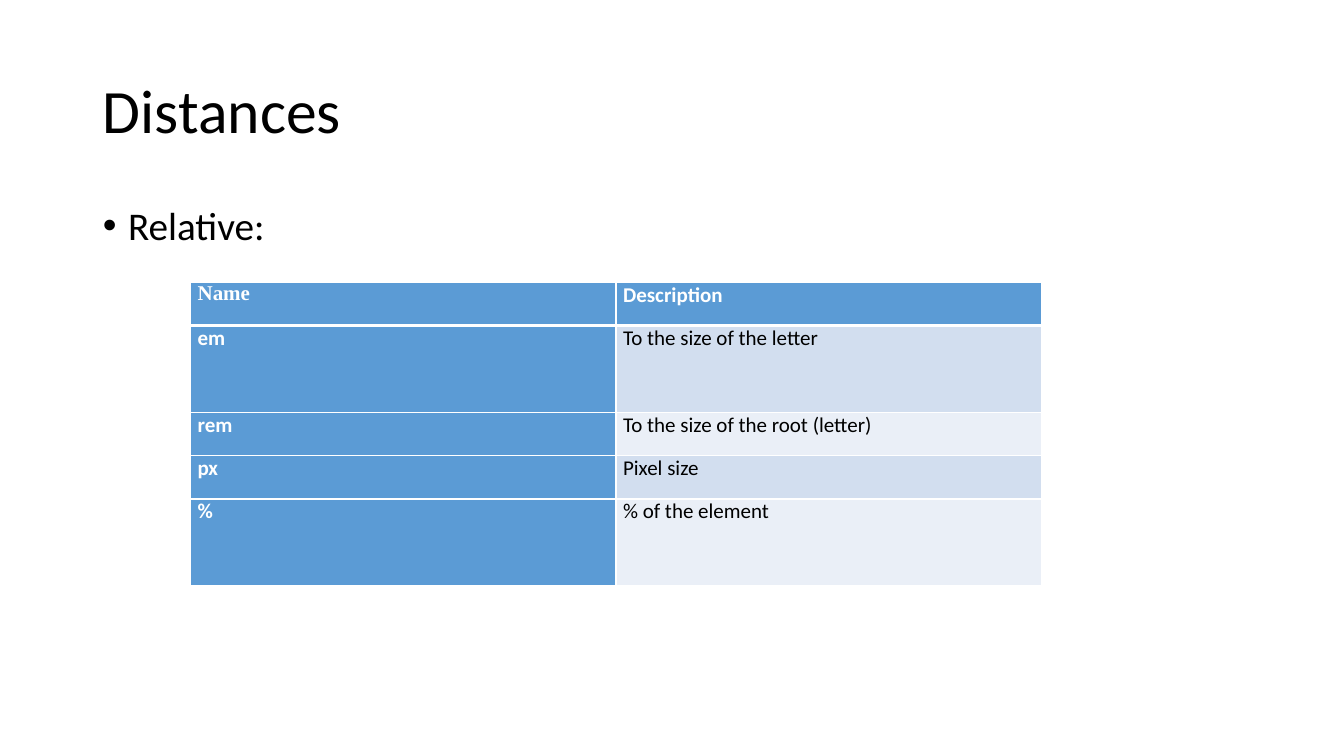
from lxml import etree
from pptx import Presentation
from pptx import util as u
from pptx.dml.color import RGBColor
from pptx.enum import text
from pptx.oxml import ns

PX = 9144
FONT = "Calibri"
HUES = {"black": "000000", "white": "FFFFFF", "blue": "5B9BD5",
        "dark": "D2DEEF", "light": "EAEFF7"}
ROWS = [
    ("Name", "Description", 43),
    ("em", "To the size of the letter", 86),
    ("rem", "To the size of the root (letter)", 43),
    ("px", "Pixel size", 43),
    ("%", "% of the element", 86),
]


def px(num):
    return u.Emu(num * PX)


def hue(name):
    return RGBColor.from_string(HUES[name])


def style(para, size, color, bold=False, face=FONT):
    font = para.font
    font.name, font.size, font.bold = face, u.Pt(size), bold
    font.color.rgb = hue(color)


def fill_holder(holder, words, box, size, anchor):
    holder.left, holder.top, holder.width, holder.height = map(px, box)
    frame = holder.text_frame
    frame.text = words
    frame.vertical_anchor = anchor
    frame.auto_size = text.MSO_AUTO_SIZE.NONE
    para = frame.paragraphs[0]
    para.alignment = text.PP_ALIGN.LEFT
    para.line_spacing = 0.9
    style(para, size, "black")
    return para


def add_bullet(para):
    para.space_before = u.Pt(10)
    props = para._p.get_or_add_pPr()
    props.set("marL", str(px(25)))
    props.set("indent", str(px(-25)))
    etree.SubElement(props, ns.qn("a:buFont")).set("typeface", "Arial")
    etree.SubElement(props, ns.qn("a:buChar")).set("char", "•")
    props.append(props.find(ns.qn("a:defRPr")))


def add_edges(cell, top, bottom):
    props = cell._tc.get_or_add_tcPr()
    edges = {"L": 1, "R": 1, "T": top, "B": bottom}
    for spot, (side, width) in enumerate(edges.items()):
        line = etree.Element(ns.qn(f"a:ln{side}"), w=str(u.Pt(width)))
        solid = etree.SubElement(line, ns.qn("a:solidFill"))
        etree.SubElement(solid, ns.qn("a:srgbClr")).set("val", HUES["white"])
        props.insert(spot, line)


def fill_cell(cell, words, row, col):
    head = row == 0 or col == 0
    cell.text = words
    cell.margin_left = cell.margin_right = px(7)
    cell.margin_top = cell.margin_bottom = 0
    cell.fill.solid()
    band = "dark" if row % 2 else "light"
    cell.fill.fore_color.rgb = hue("blue" if head else band)
    face = "Times New Roman" if row == col == 0 else FONT
    style(cell.text_frame.paragraphs[0], 15,
          "white" if head else "black", head, face)
    add_edges(cell, 3 if row == 1 else 1, 3 if row == 0 else 1)


def add_grid(slide, left, top, width):
    tall = sum(row[2] for row in ROWS)
    frame = slide.shapes.add_table(
        len(ROWS), 2, px(left), px(top), px(2 * width), px(tall))
    table = frame.table
    for col in table.columns:
        col.width = px(width)
    for row, (name, note, height) in enumerate(ROWS):
        table.rows[row].height = px(height)
        for col, words in enumerate((name, note)):
            fill_cell(table.cell(row, col), words, row, col)


def main():
    """Build the slide on relative distances."""
    deck = Presentation()
    deck.slide_width, deck.slide_height = px(1333), px(750)
    slide = deck.slides.add_slide(deck.slide_layouts[1])
    title, body = slide.placeholders
    fill_holder(title, "Distances", (92, 40, 1150, 145), 44,
                text.MSO_ANCHOR.MIDDLE)
    add_bullet(fill_holder(body, "Relative:", (92, 200, 1150, 476), 28,
                           text.MSO_ANCHOR.TOP))
    add_grid(slide, 189, 280, 422)
    deck.save("out.pptx")


if __name__ == "__main__":
    main()
